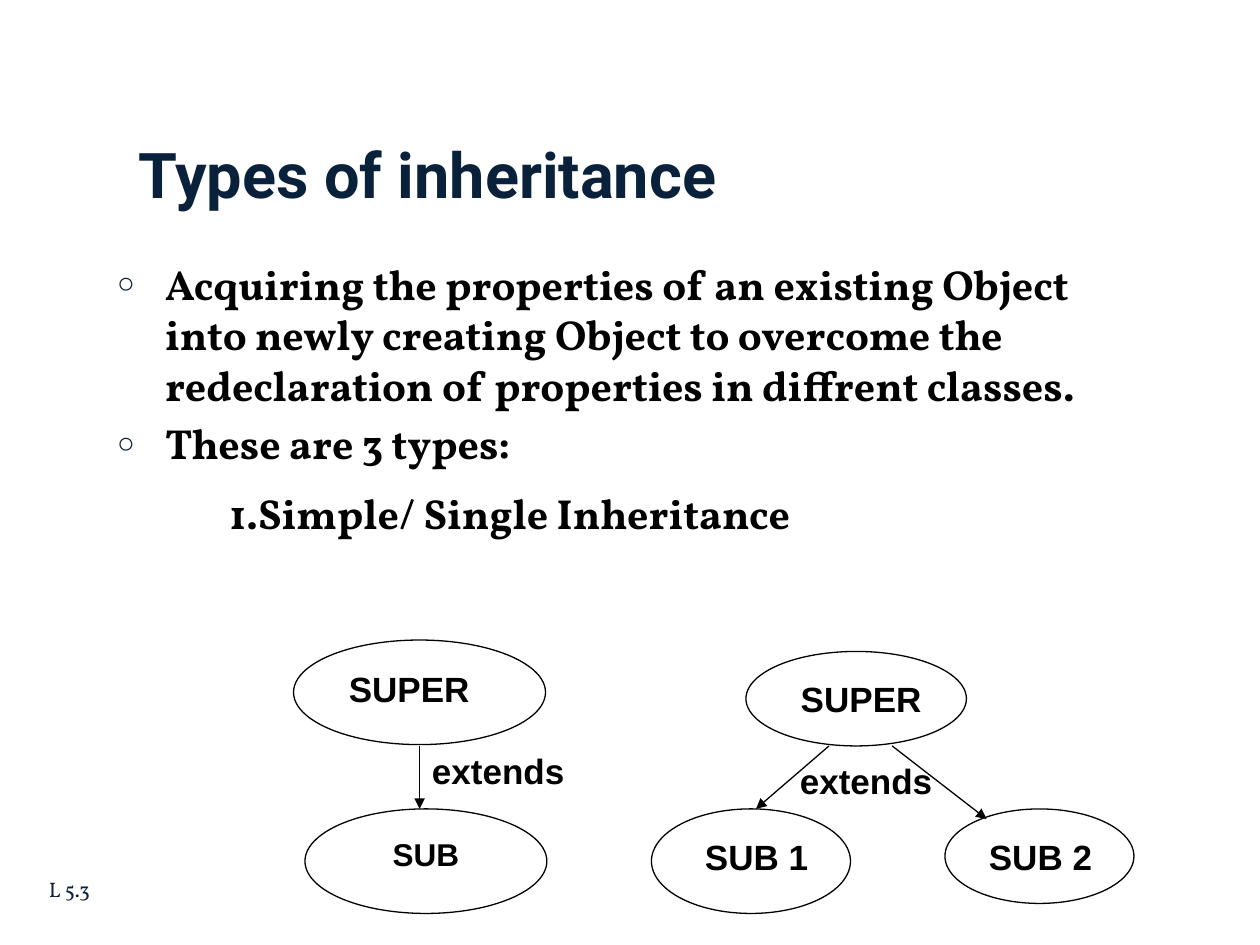
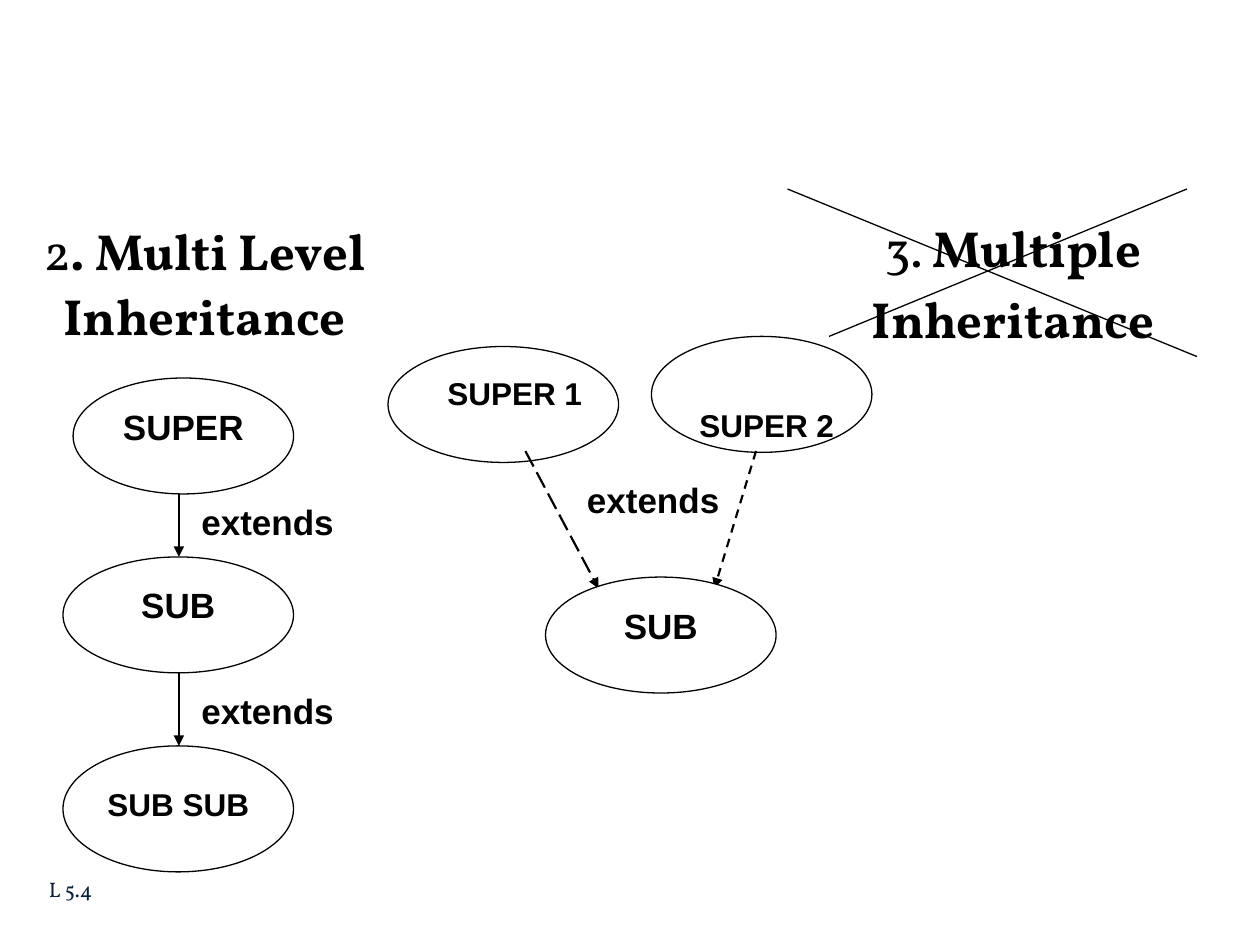
from dataclasses import dataclass

from lxml.etree import SubElement
from pptx import Presentation
from pptx.dml.color import RGBColor
from pptx.enum.dml import MSO_LINE_DASH_STYLE as Dash
from pptx.enum.shapes import MSO_CONNECTOR as Connector, MSO_SHAPE as Shape
from pptx.enum.text import MSO_ANCHOR as Anchor, MSO_AUTO_SIZE as AutoSize, PP_ALIGN as Align
from pptx.oxml.ns import qn
from pptx.util import Inches, Pt

# Shared look
NAVY = RGBColor(0x09, 0x21, 0x3B)
BLACK = RGBColor(0x00, 0x00, 0x00)
WHITE = RGBColor(0xFF, 0xFF, 0xFF)

FOOTER = {"name": "Vollkorn", "size": Pt(12), "bold": False}
TITLE = {"name": "Roboto", "size": Pt(36), "bold": True}
BODY = {"name": "Vollkorn", "size": Pt(24), "bold": True}
HEADING = {"name": "Vollkorn", "size": Pt(29), "bold": True}
HEADING_LIGHT = HEADING | {"bold": False}

LABEL_HEIGHTS = {18: 0.4, 20: 0.43}


@dataclass
class Oval:
    left: float
    top: float
    width: float
    height: float


@dataclass
class Label:
    text: str
    left: float
    top: float
    width: float = 1.33
    size: int = 20
    align: Align = Align.CENTER
    filled: bool = False


@dataclass
class Line:
    start: tuple[float, float]
    end: tuple[float, float]
    arrow: bool = True
    dash: Dash | None = None
    width: float = 0.75


def extends(left: float, top: float) -> Label:
    return Label("extends", left, top, align=Align.LEFT)


def apply(target, values: dict) -> None:
    for name, value in values.items():
        setattr(target, name, value)


def place(box, left: float, top: float, width: float, height: float) -> None:
    values = {"left": left, "top": top, "width": width, "height": height}
    apply(box, {name: Inches(value) for name, value in values.items()})


def add_span(para, text: str, style: dict, colour: RGBColor = BLACK) -> None:
    span = para.add_run()
    span.text = text
    apply(span.font, style)
    span.font.color.rgb = colour


def set_indent(para, margin: float, first: float = 0) -> None:
    properties = para._p.get_or_add_pPr()
    properties.set("marL", str(Inches(margin)))
    properties.set("indent", str(Inches(first)))


def set_bullet(para, char: str | None) -> None:
    properties = para._p.get_or_add_pPr()
    if char is None:
        SubElement(properties, qn("a:buNone"))
        return
    colour = SubElement(properties, qn("a:buClr"))
    SubElement(colour, qn("a:srgbClr"), val=str(NAVY))
    SubElement(properties, qn("a:buSzPct"), val="70000")
    SubElement(properties, qn("a:buChar"), char=char)


def next_para(frame, index: int):
    return frame.add_paragraph() if index else frame.paragraphs[0]


# Diagram parts
def draw_oval(page, oval: Oval) -> None:
    shape = page.shapes.add_shape(
        Shape.OVAL, *map(Inches, (oval.left, oval.top, oval.width, oval.height)))
    shape.shadow.inherit = False
    shape.fill.solid()
    shape.fill.fore_color.rgb = WHITE
    shape.line.color.rgb = BLACK
    shape.line.width = Pt(0.75)


def draw_label(page, label: Label) -> None:
    box = page.shapes.add_textbox(*map(Inches, (
        label.left, label.top, label.width, LABEL_HEIGHTS[label.size])))
    if label.filled:
        box.fill.solid()
        box.fill.fore_color.rgb = WHITE
    box.text_frame.word_wrap = True
    para = box.text_frame.paragraphs[0]
    para.alignment = label.align
    add_span(para, label.text, {"name": "Arial", "size": Pt(label.size), "bold": True})


def draw_line(page, line: Line) -> None:
    connector = page.shapes.add_connector(
        Connector.STRAIGHT, *map(Inches, line.start + line.end))
    connector.line.color.rgb = BLACK
    connector.line.width = Pt(line.width)
    if line.dash:
        connector.line.dash_style = line.dash
    if line.arrow:
        SubElement(connector.line._get_or_add_ln(), qn("a:tailEnd"), type="triangle")
    SubElement(connector._element.spPr, qn("a:effectLst"))


DRAW = {Oval: draw_oval, Label: draw_label, Line: draw_line}


def draw_all(page, parts: list) -> None:
    for part in parts:
        DRAW[type(part)](page, part)


def add_footer(page, text: str) -> None:
    box = page.shapes.add_textbox(*map(Inches, (0.29, 6.86, 5.29, 0.4)))
    box.text_frame.vertical_anchor = Anchor.MIDDLE
    box.text_frame.word_wrap = True
    add_span(box.text_frame.paragraphs[0], text, FOOTER, NAVY)


def fill_heading(box, number: tuple[str, str], spacing: float) -> None:
    frame = box.text_frame
    frame.auto_size = AutoSize.NONE
    for index, text in enumerate((number[1], "Inheritance")):
        para = next_para(frame, index)
        set_indent(para, 0)
        set_bullet(para, None)
        apply(para, {"alignment": Align.CENTER, "line_spacing": spacing,
                     "space_before": Pt(5.8 * index)})
        if index == 0:
            add_span(para, number[0], HEADING_LIGHT)
        add_span(para, text, HEADING)


# Slide 1: types and single inheritance
TYPES_LIST = [
    ("Acquiring the properties of an existing Object into newly creating Object "
     "to overcome the redeclaration of properties in diffrent classes.", "○", 0),
    ("These are 3 types:", "○", 4.8),
    ("1.Simple/ Single Inheritance", None, 11),
]

SINGLE_DIAGRAM = [
    Oval(2.33, 5.08, 2, 0.83),
    Label("SUPER", 2.67, 5.25, align=Align.LEFT, filled=True),
    Oval(2.42, 6.42, 1.92, 0.83),
    Label("SUB", 2.67, 6.58, 1.42, 18),
    Line((3.33, 5.92), (3.33, 6.42)),
    Oval(5.92, 5.17, 1.75, 0.75),
    Label("SUPER", 6.17, 5.33, filled=True),
    Oval(5.17, 6.42, 1.58, 0.83),
    Oval(7.5, 6.42, 1.5, 0.75),
    Label("SUB 1", 5.42, 6.58, 1.17),
    Label("SUB 2", 7.75, 6.58, 1.17, align=Align.LEFT),
    Line((6.58, 5.92), (6, 6.42)),
    Line((7.08, 5.92), (7.83, 6.5)),
    extends(6.25, 5.98),
    extends(3.33, 5.9),
]


def build_types_page(deck) -> None:
    page = deck.slides.add_slide(deck.slide_layouts[1])
    add_footer(page, "L 5.3")

    title = page.shapes.title
    place(title, 1, 0.75, 9, 1.25)
    apply(title.text_frame, {"vertical_anchor": Anchor.MIDDLE, "auto_size": AutoSize.NONE})
    para = title.text_frame.paragraphs[0]
    para.alignment = Align.LEFT
    add_span(para, "Types of inheritance", TITLE, NAVY)

    body = page.placeholders[1]
    place(body, 0.83, 2, 8.42, 2.08)
    body.text_frame.auto_size = AutoSize.NONE
    for index, (text, bullet, before) in enumerate(TYPES_LIST):
        para = next_para(body.text_frame, index)
        set_indent(para, *((0.38, -0.38) if bullet else (0.89, 0)))
        set_bullet(para, bullet)
        para.space_before = Pt(before)
        add_span(para, text, BODY)

    draw_all(page, SINGLE_DIAGRAM)


# Slide 2: multi level and multiple inheritance
MULTI_DIAGRAM = [
    Oval(0.58, 3, 1.75, 0.92),
    Oval(0.5, 4.42, 1.83, 0.92),
    Oval(0.5, 5.92, 1.83, 1),
    Oval(3.08, 2.75, 1.83, 0.92),
    Oval(5.17, 2.67, 1.75, 0.92),
    Line((1.42, 3.92), (1.42, 4.42)),
    Line((1.42, 5.33), (1.42, 5.92)),
    Line((4.17, 3.58), (4.75, 4.67), dash=Dash.LONG_DASH, width=1.25),
    Line((6, 3.58), (5.67, 4.67), dash=Dash.DASH, width=1.25),
    Label("SUPER", 0.83, 3.17, 1.25),
    Label("SUB", 0.75, 4.58),
    Label("SUB SUB", 0.75, 6.18, size=18),
    Label("SUPER 1", 3.42, 2.92, size=18),
    Label("SUPER 2", 5.42, 3.17, size=18),
    extends(1.5, 3.92),
    extends(1.5, 5.42),
    extends(4.56, 3.75),
    Oval(4.33, 4.58, 1.83, 0.92),
    Label("SUB", 4.58, 4.75),
    # Cross over the third type
    Line((6.25, 1.5), (9.5, 2.83), arrow=False),
    Line((9.42, 1.5), (6.58, 2.67), arrow=False),
]


def build_multi_page(deck) -> None:
    page = deck.slides.add_slide(deck.slide_layouts[3])
    title = page.shapes.title._element
    title.getparent().remove(title)
    add_footer(page, "L 5.4")

    multi_level, multiple = page.placeholders[1], page.placeholders[2]
    place(multi_level, 0, 1.75, 3.25, 0.75)
    fill_heading(multi_level, ("2", ". Multi Level"), 0.9)
    place(multiple, 6.08, 1.67, 3.92, 1.33)
    fill_heading(multiple, ("3. ", "Multiple"), 1.0)

    draw_all(page, MULTI_DIAGRAM)


def main() -> None:
    deck = Presentation()
    apply(deck, {"slide_width": Inches(10), "slide_height": Inches(7.5)})
    build_types_page(deck)
    build_multi_page(deck)
    deck.save("out.pptx")


if __name__ == "__main__":
    main()
